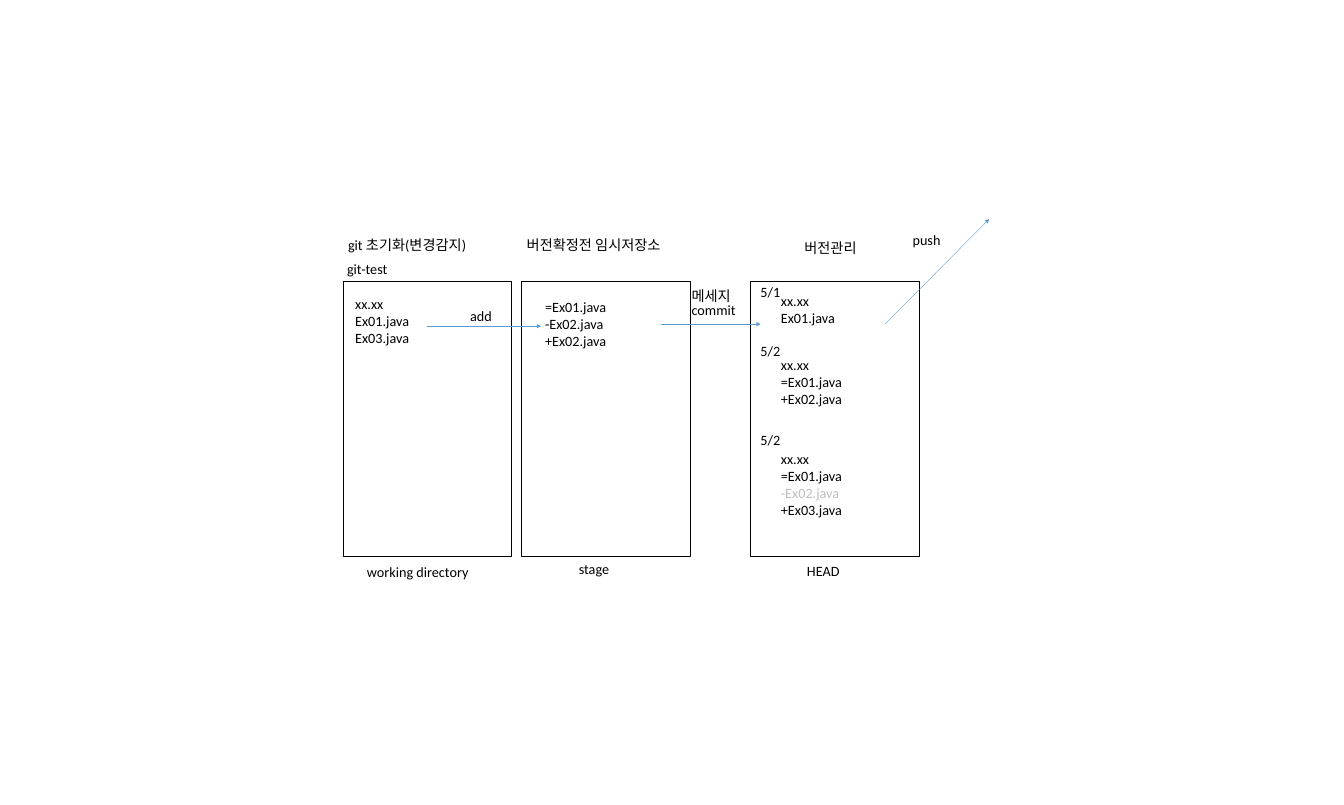
from lxml.etree import SubElement
from pptx import Presentation
from pptx.dml.color import RGBColor
from pptx.enum.shapes import MSO_CONNECTOR, MSO_SHAPE
from pptx.enum.text import MSO_AUTO_SIZE
from pptx.oxml.ns import qn
from pptx.util import Inches, Pt

BLACK = RGBColor(0x00, 0x00, 0x00)
GRAY = RGBColor(0xBF, 0xBF, 0xBF)
BLUE = RGBColor(0x5B, 0x9B, 0xD5)
FONT = {"name": "Calibri", "size": Pt(20)}
FRAME = {"word_wrap": True, "auto_size": MSO_AUTO_SIZE.SHAPE_TO_FIT_TEXT}

deck = Presentation()
deck.slide_width, deck.slide_height = Inches(26.33), Inches(15.77)
slide = deck.slides.add_slide(deck.slide_layouts[6])
shapes = slide.shapes

# Areas: working directory, stage, HEAD
for left in (6.72, 10.22, 14.71):
    area = shapes.add_shape(MSO_SHAPE.RECTANGLE, Inches(left), Inches(5.51),
                            Inches(3.3), Inches(5.39))
    area.shadow.inherit = False
    area.fill.background()
    area.line.color.rgb = BLACK
    area.line.width = Pt(1)

# Arrows: add, commit, push
for x1, y1, x2, y2 in ((8.37, 6.39, 10.6, 6.39),
                       (12.95, 6.35, 14.9, 6.35),
                       (17.34, 6.35, 19.38, 4.29)):
    arrow = shapes.add_connector(MSO_CONNECTOR.STRAIGHT, Inches(x1), Inches(y1),
                                 Inches(x2), Inches(y2))
    arrow.line.color.rgb = BLUE
    arrow.line.width = Pt(0.5)
    SubElement(arrow.line._get_or_add_ln(), qn("a:tailEnd"), type="triangle")
    SubElement(arrow._element.spPr, qn("a:effectLst"))

# Left, top, width, lines
labels = [
    (6.72, 4.58, 2.86, ["git 초기화(변경감지)"]),
    (10.22, 4.58, 3.11, ["버전확정전 임시저장소"]),
    (15.66, 4.63, 2.35, ["버전관리"]),
    (6.7, 5.06, 2.35, ["git-test"]),
    (7.09, 10.98, 2.88, ["working directory"]),
    (11.24, 10.92, 2.88, ["stage"]),
    (15.71, 10.96, 2.88, ["HEAD"]),
    (9.11, 5.97, 0.78, ["add"]),
    (13.45, 5.58, 1.17, ["메세지"]),
    (13.45, 5.86, 1.17, ["commit"]),
    (17.78, 4.49, 1.17, ["push"]),
    (6.86, 5.73, 2.35, ["xx.xx", "Ex01.java", "Ex03.java"]),
    (10.58, 5.8, 2.35, ["=Ex01.java", "-Ex02.java", "+Ex02.java"]),
    (14.8, 5.51, 2.35, ["5/1"]),
    (15.2, 5.67, 2.35, ["xx.xx", "Ex01.java"]),
    (14.8, 6.65, 2.35, ["5/2"]),
    (15.2, 6.93, 2.35, ["xx.xx", "=Ex01.java", "+Ex02.java"]),
    (14.8, 8.41, 2.35, ["5/2"]),
    (15.2, 8.78, 2.35, ["xx.xx", "=Ex01.java", "-Ex02.java", "+Ex03.java"]),
]
for left, top, width, lines in labels:
    high = 0.1 + 0.34 * len(lines)
    box = shapes.add_textbox(Inches(left), Inches(top), Inches(width), Inches(high))
    frame = box.text_frame
    for key, value in FRAME.items():
        setattr(frame, key, value)
    frame.text = "\n".join(lines)
    for para in frame.paragraphs:
        font = para.runs[0].font
        for key, value in FONT.items():
            setattr(font, key, value)
        # The removed file fades in the last version
        faded = len(lines) == 4 and para.text.startswith("-")
        font.color.rgb = GRAY if faded else BLACK

deck.save("out.pptx")
